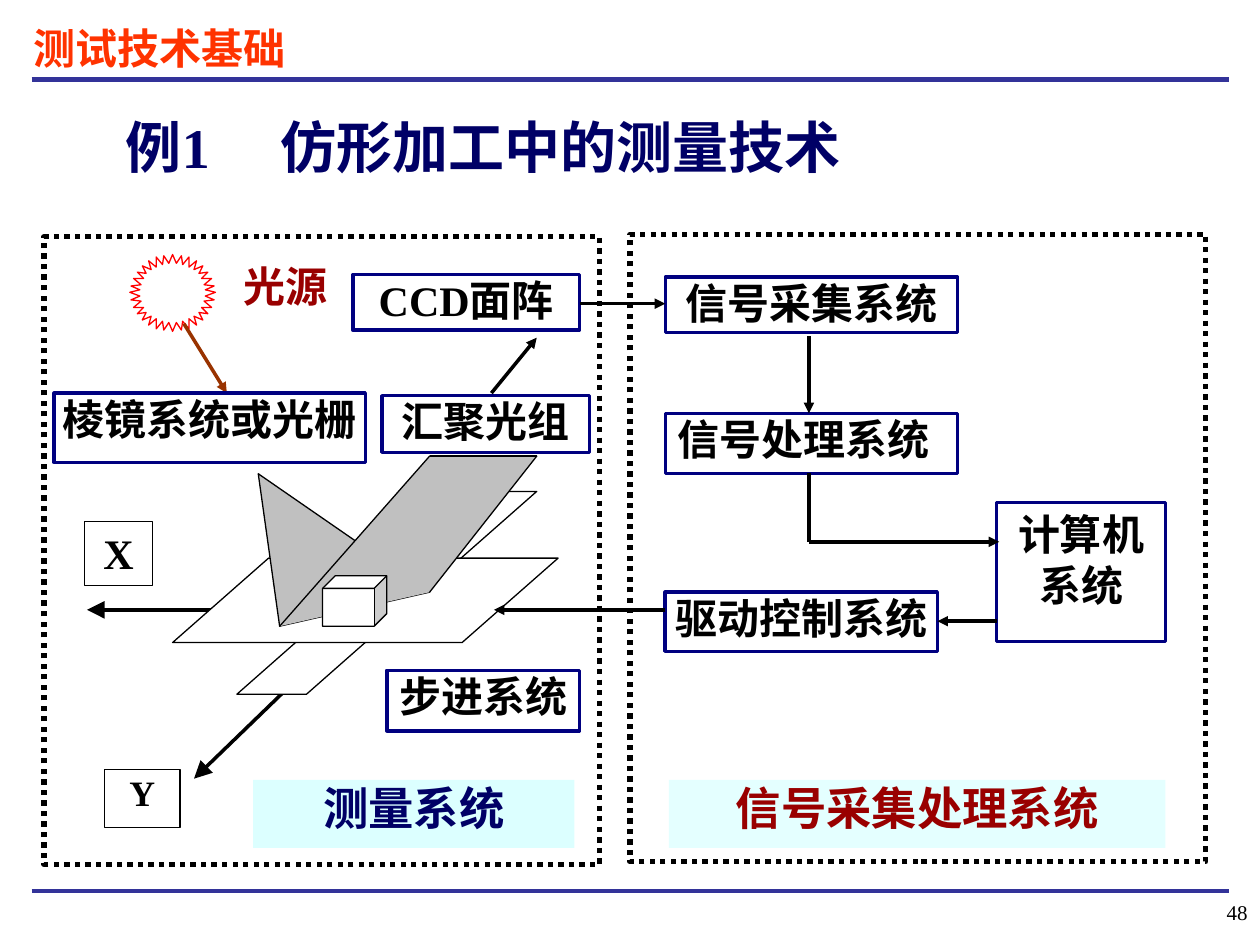
import math
from dataclasses import dataclass

import pptx
import pptx.dml.color
import pptx.enum.dml
import pptx.enum.shapes
import pptx.enum.text
import pptx.oxml.ns
import pptx.oxml.xmlchemy
import pptx.slide
import pptx.util

RGB = pptx.dml.color.RGBColor
BLACK = RGB(0x00, 0x00, 0x00)
WHITE = RGB(0xFF, 0xFF, 0xFF)
GREY = RGB(0xC0, 0xC0, 0xC0)
RULE_BLUE = RGB(0x33, 0x33, 0x99)
FRAME_NAVY = RGB(0x00, 0x00, 0x80)
TEXT_NAVY = RGB(0x00, 0x00, 0x66)
ORANGE = RGB(0xFF, 0x33, 0x00)
RED = RGB(0xFF, 0x00, 0x00)
DARK_RED = RGB(0x99, 0x00, 0x00)
BROWN = RGB(0x99, 0x33, 0x00)
CYAN = RGB(0xCC, 0xFF, 0xFF)

SERIF = "Times New Roman"
SANS = "Noto Sans CJK SC"
SCALE = 9144
SHAPES = pptx.enum.shapes.MSO_SHAPE
ALIGN = pptx.enum.text.PP_ALIGN
ANCHOR = pptx.enum.text.MSO_ANCHOR
PADDED = (10, 5)
TIGHT = (0, 0)


def px(length):
    return pptx.util.Emu(round(length * SCALE))


def child(parent, tag, **attributes):
    element = pptx.oxml.xmlchemy.OxmlElement(tag)
    for key, value in attributes.items():
        element.set(key, str(value))
    parent.append(element)
    return element


def write(shape, words, size=24, color=BLACK, align=ALIGN.CENTER, inset=PADDED,
          font=SERIF, bold=True, spacing=None, anchor=ANCHOR.TOP, tab=None):
    frame = shape.text_frame
    frame.word_wrap = True
    frame.vertical_anchor = anchor
    frame.margin_left = frame.margin_right = px(inset[0])
    frame.margin_top = frame.margin_bottom = px(inset[1])
    frame.text = words
    for paragraph in frame.paragraphs:
        paragraph.alignment = align
        if spacing:
            paragraph.line_spacing = spacing
        if tab:
            stops = child(paragraph._p.get_or_add_pPr(), "a:tabLst")
            child(stops, "a:tab", pos=px(tab), algn="l")
        paragraph.font.name = font
        paragraph.font.size = pptx.util.Pt(size)
        paragraph.font.bold = bold
        paragraph.font.color.rgb = color


def paint(shape, fill, line, width, dash=None):
    shape.shadow.inherit = False
    shape.fill.solid()
    shape.fill.fore_color.rgb = fill
    if line is None:
        shape.line.fill.background()
        return
    shape.line.color.rgb = line
    shape.line.width = pptx.util.Pt(width)
    if dash:
        shape.line.dash_style = dash


@dataclass
class Region:
    slide: pptx.slide.Slide
    left: int
    top: int
    width: int
    height: int

    def place(self, x, y, width, height):
        return px(self.left + x), px(self.top + y), px(width), px(height)

    def preset(self, kind, box, adjust=None, fill=WHITE, line=BLACK, width=0.75, dash=None):
        shape = self.slide.shapes.add_shape(kind, *self.place(*box))
        if adjust is not None:
            shape.adjustments[0] = adjust
        paint(shape, fill, line, width, dash)
        return shape

    def frame(self):
        self.preset(SHAPES.RECTANGLE, (0, 0, self.width, self.height), width=3,
                    dash=pptx.enum.dml.MSO_LINE.ROUND_DOT)

    def stage(self, words, box, inset=TIGHT, align=ALIGN.CENTER):
        shape = self.preset(SHAPES.RECTANGLE, box, line=FRAME_NAVY, width=2)
        write(shape, words, inset=inset, align=align)

    def caption(self, words, box, color, opacity):
        shape = self.preset(SHAPES.RECTANGLE, box, fill=CYAN, line=None)
        tint = shape._element.spPr.find(".//" + pptx.oxml.ns.qn("a:srgbClr"))
        child(tint, "a:alpha", val=opacity * 1000)
        write(shape, words, 25.9, color, font=SANS, spacing=0.9)

    def label(self, words, box, **style):
        write(self.slide.shapes.add_textbox(*self.place(*box)), words, **style)

    def outline(self, points, fill, line=BLACK, close=True):
        corners = [(self.left + x, self.top + y) for x, y in points]
        builder = self.slide.shapes.build_freeform(*corners[0], scale=SCALE)
        builder.add_line_segments(corners[1:], close=close)
        paint(builder.convert_to_shape(), fill, line, 0.75)

    def line(self, start, end, color=BLACK, width=2, head=None):
        ends = self.place(*start, 0, 0)[:2] + self.place(*end, 0, 0)[:2]
        connector = self.slide.shapes.add_connector(
            pptx.enum.shapes.MSO_CONNECTOR.STRAIGHT, *ends)
        connector.line.color.rgb = color
        connector.line.width = pptx.util.Pt(width)
        if head:
            child(connector.line._get_or_add_ln(), "a:tailEnd", type="triangle", w=head, len=head)
        child(connector._element.spPr, "a:effectLst")


def draw_header(region):
    region.label("测试技术基础", (0, 0, 292, 50), color=ORANGE, align=ALIGN.LEFT)
    region.line((8, 50), (958, 50), RULE_BLUE, 3)
    region.label("例1\t仿形加工中的测量技术", (73, 71, 756, 64), size=32,
                 color=TEXT_NAVY, align=ALIGN.LEFT, tab=123)


def draw_footer(region):
    region.line((0, 8), (950, 8), RULE_BLUE, 2.25)
    region.label("48", (875, 0, 100, 50), size=12, bold=False, align=ALIGN.RIGHT,
                 anchor=ANCHOR.MIDDLE)


def draw_stepping_table(region):
    region.line((170, 108), (17, 256), head="lg")
    region.preset(SHAPES.PARALLELOGRAM, (51, 28, 238, 161), 1.135)
    region.line((136, 122), (-68, 122), head="lg")
    region.preset(SHAPES.PARALLELOGRAM, (0, 81, 306, 67), 1.137)
    region.outline([(68, 14), (85, 135), (204, 108)], GREY)
    region.outline([(85, 135), (204, 0), (289, 0), (204, 108)], GREY, close=False)
    region.line((204, 0), (289, 0), width=0.75)
    region.preset(SHAPES.CUBE, (119, 95, 51, 40), 0.25)
    axes = [("X", (-70, 52, 54, 51), 24, None), ("Y", (-54, 249, 60, 46), 20.4, 0.9)]
    for name, box, size, spacing in axes:
        write(region.preset(SHAPES.RECTANGLE, box), name, size, spacing=spacing)


def draw_light_source(region):
    rays = 32
    rx, ry = region.width / 2, region.height / 2
    points = []
    for step in range(2 * rays):
        reach = 0.78 if step % 2 else 1
        angle = math.pi * (1 - step / rays)
        points.append((rx + rx * reach * math.cos(angle), ry + ry * reach * math.sin(angle)))
    region.outline(points, WHITE, RED)
    region.label("光源", (66, 0, 115, 52), color=DARK_RED)
    region.line((43, 55), (77, 110), BROWN, head="med")


def draw_measuring_system(region):
    region.frame()
    left, top = region.left, region.top
    draw_stepping_table(Region(region.slide, left + 102, top + 174, 306, 148))
    draw_light_source(Region(region.slide, left + 68, top + 14, 68, 61))
    region.stage("棱镜系统或光栅", (8, 124, 247, 55))
    region.stage("汇聚光组", (268, 126, 165, 45))
    region.stage("CCD面阵", (245, 30, 180, 44))
    region.stage("步进系统", (272, 344, 153, 48))
    region.line((355, 124), (391, 80), head="med")
    region.caption("测量系统", (166, 431, 255, 54), TEXT_NAVY, 68)


def draw_processing_system(region):
    region.frame()
    region.stage("信号采集系统", (28, 34, 232, 44))
    region.stage("信号处理系统", (28, 142, 232, 48), (10, 0), ALIGN.JUSTIFY)
    region.stage("计算机\n系统", (291, 213, 134, 110), PADDED)
    region.stage("驱动控制系统", (28, 284, 216, 47))
    region.line((142, 81), (142, 142), head="med")
    region.line((142, 189), (142, 244))
    region.line((142, 244), (293, 244), head="med")
    region.line((291, 307), (244, 307), head="med")
    region.caption("信号采集处理系统", (31, 433, 394, 54), DARK_RED, 53)


def draw_system_links(region):
    region.line((68, 0), (136, 0), head="med")
    region.line((136, 243), (0, 243), head="med")


def main():
    deck = pptx.Presentation()
    deck.slide_width, deck.slide_height = px(1000), px(750)
    slide = deck.slides.add_slide(deck.slide_layouts[6])
    draw_header(Region(slide, 17, 13, 958, 135))
    draw_footer(Region(slide, 25, 699, 975, 50))
    draw_measuring_system(Region(slide, 35, 188, 441, 498))
    draw_processing_system(Region(slide, 500, 186, 457, 498))
    draw_system_links(Region(slide, 392, 241, 136, 243))
    deck.save("out.pptx")


if __name__ == "__main__":
    main()
